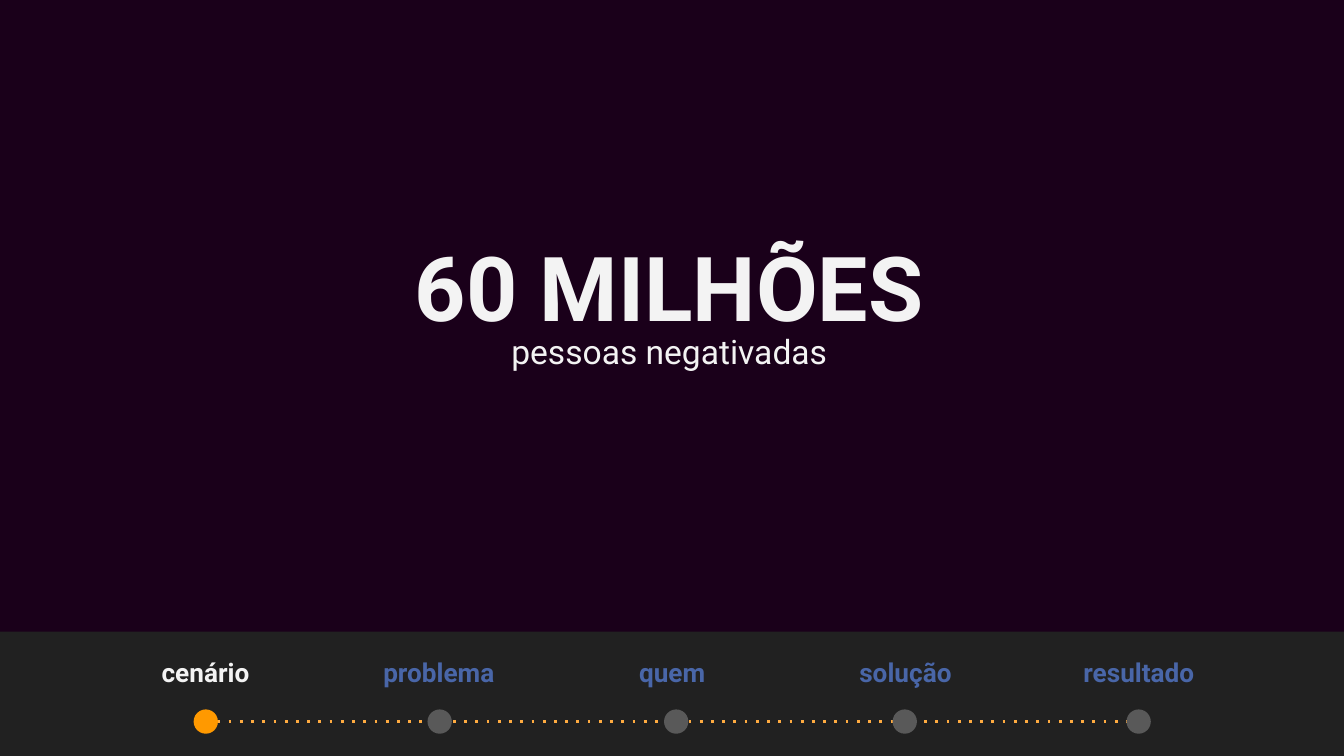
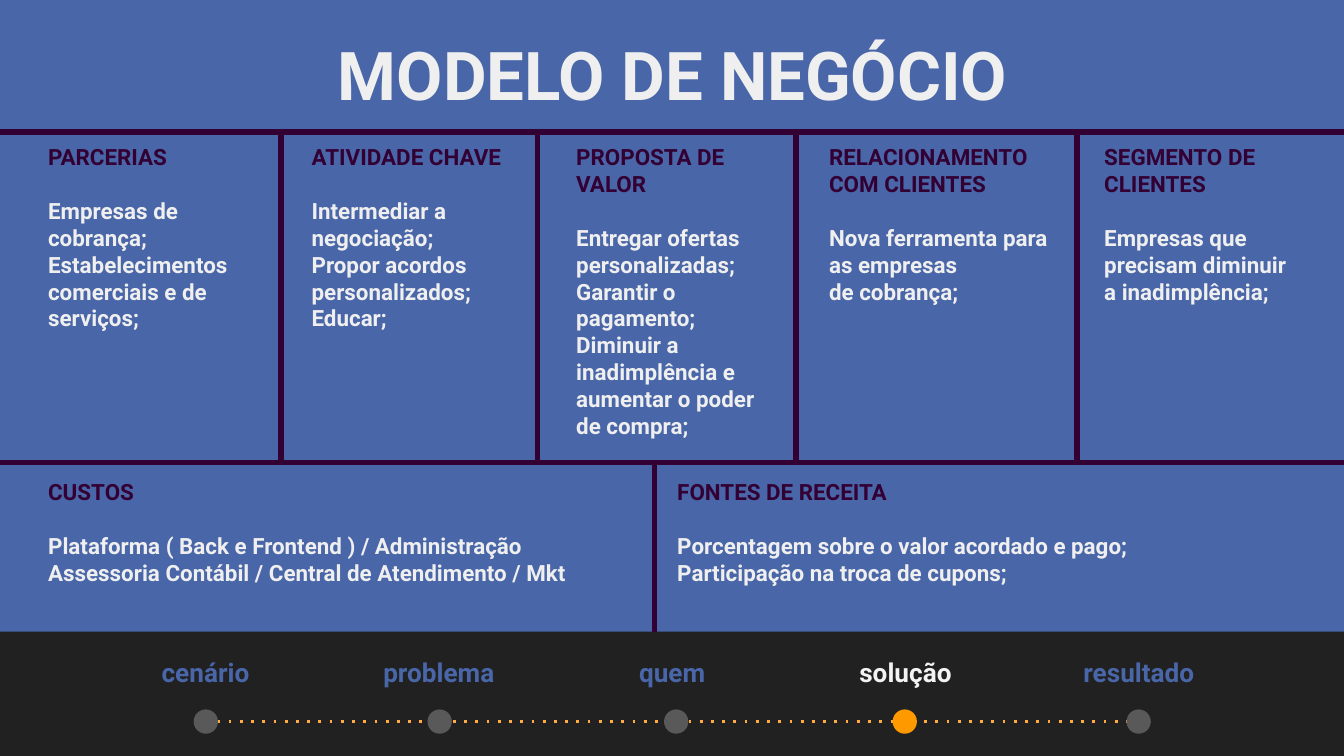
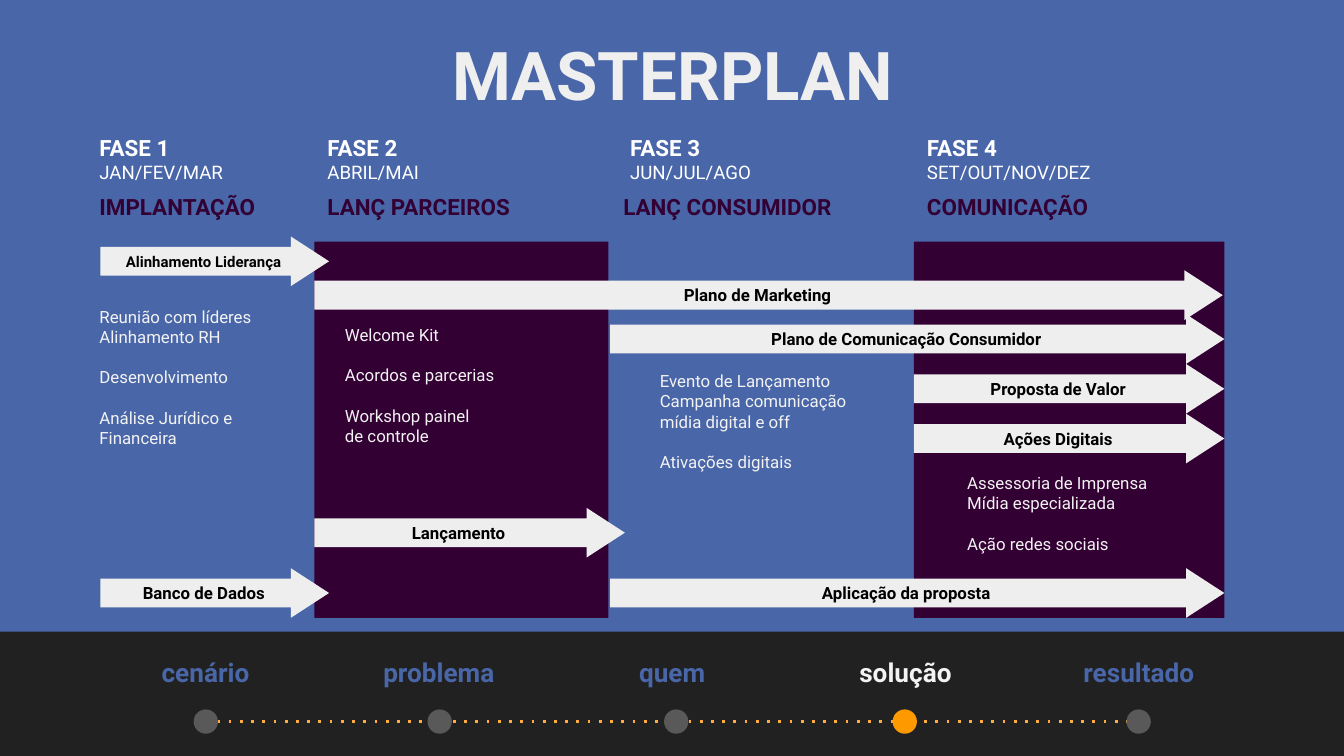
from lxml import etree
from pptx import Presentation
from pptx.dml.color import RGBColor
from pptx.enum import shapes, text
from pptx.oxml.ns import qn
from pptx.util import Cm, Pt


class Theme:
    font = "Roboto"
    night, blue, plum = "1A001A", "4966A8", "330033"
    bar, dot, active, track = "212121", "595959", "FF9900", "FFAB40"
    light, title, arrow = "F3F3F3", "EFEFEF", "EEEEEE"
    white, black = "FFFFFF", "000000"
    hero, heading, lead, step, body, date, note, tiny = 48, 36, 18, 14, 12, 10, 9, 8


def write(sp, groups, size, colour, bold=False, align="LEFT", anchor="TOP"):
    """Fill a shape with groups of paragraphs, one line of space between groups."""
    tf = sp.text_frame
    tf.word_wrap = True
    tf.auto_size = text.MSO_AUTO_SIZE.NONE
    tf.vertical_anchor = text.MSO_ANCHOR[anchor]
    tf.margin_left = tf.margin_right = tf.margin_top = tf.margin_bottom = Cm(0.25)
    tf.text = "\n".join(line for group in groups for line in group)
    starts = [sum(len(g) for g in groups[:i]) for i in range(1, len(groups))]
    for i, p in enumerate(tf.paragraphs):
        p.alignment = text.PP_ALIGN[align]
        if i in starts:
            p.space_before = Pt(size * 1.2)
        for r in p.runs:
            r.font.name = Theme.font
            r.font.size = Pt(size)
            r.font.bold = bold
            r.font.color.rgb = RGBColor.from_string(colour)


def paint(sp, colour, width=None):
    """Give a connector its line, or a shape its flat fill, without shadow."""
    if width:
        sp.line.color.rgb = RGBColor.from_string(colour)
        sp.line.width = Pt(width)
        etree.SubElement(sp.element.spPr, qn("a:effectLst"))
    else:
        sp.fill.solid()
        sp.fill.fore_color.rgb = RGBColor.from_string(colour)
        sp.line.fill.background()
        sp.shadow.inherit = False


prs = Presentation()
prs.slide_width, prs.slide_height = Cm(25.4), Cm(14.29)
STRAIGHT = shapes.MSO_CONNECTOR.STRAIGHT
SHAPE = shapes.MSO_SHAPE

# Background, title and progress footer of every slide
steps = ["cenário", "problema", "quem", "solução", "resultado"]
dot_lefts = [3.66, 8.08, 12.55, 16.87, 21.29]
bar_top = 11.94
pages = [
    ("60 MILHÕES", (6.81, 4.39, 11.68, 2.01), Theme.hero, Theme.light, "MIDDLE", Theme.night, "cenário"),
    ("MODELO DE NEGÓCIO", (3.1, 0.38, 19.23, 1.83), Theme.heading, Theme.title, "TOP", Theme.blue, "solução"),
    ("MASTERPLAN", (3.1, 0.38, 19.23, 2.11), Theme.heading, Theme.title, "TOP", Theme.blue, "solução"),
]
for title, box, size, colour, anchor, background, current in pages:
    s = prs.slides.add_slide(prs.slide_layouts[5])
    s.background.fill.solid()
    s.background.fill.fore_color.rgb = RGBColor.from_string(background)
    sp = s.shapes.title
    sp.left, sp.top, sp.width, sp.height = map(Cm, box)
    write(sp, [[title]], size, colour, True, "CENTER", anchor)

    bar = s.shapes.add_shape(SHAPE.RECTANGLE, 0, Cm(bar_top), prs.slide_width, Cm(2.35))
    paint(bar, Theme.bar)
    track = s.shapes.add_connector(STRAIGHT, Cm(4.11), Cm(13.64), Cm(21.29), Cm(13.64))
    paint(track, Theme.track, 1.5)
    etree.SubElement(track.element.spPr.find(qn("a:ln")), qn("a:prstDash"), val="dot")
    for i, (step, left) in enumerate(zip(steps, dot_lefts)):
        on = step == current
        label = s.shapes.add_textbox(Cm(2.03 + 4.41 * i), Cm(12.09), Cm(3.71), Cm(1.24))
        write(label, [[step]], Theme.step, Theme.light if on else Theme.blue, True, "CENTER", "MIDDLE")
        dot = s.shapes.add_shape(SHAPE.OVAL, Cm(left), Cm(13.41), Cm(0.46), Cm(0.46))
        paint(dot, Theme.active if on else Theme.dot)

scenario, canvas, plan = prs.slides

# Scenario
sp = scenario.shapes.add_textbox(Cm(6.81), Cm(5.64), Cm(11.68), Cm(2.01))
write(sp, [["pessoas negativadas"]], Theme.lead, Theme.light, False, "CENTER", "MIDDLE")

# Business model canvas: left, top, width, height, heading, lines
top_row, bottom_row = (2.46, 5.46), (8.79, 2.49)
cells = [
    (0.66, 4.11, top_row, "PARCERIAS",
     ["Empresas de cobrança;", "Estabelecimentos comerciais e de serviços;"]),
    (5.64, 4.11, top_row, "ATIVIDADE CHAVE",
     ["Intermediar a negociação;", "Propor acordos personalizados;", "Educar;"]),
    (10.64, 4.11, top_row, "PROPOSTA DE VALOR",
     ["Entregar ofertas personalizadas;", "Garantir o pagamento;",
      "Diminuir a inadimplência e aumentar o poder de compra;"]),
    (15.42, 4.83, top_row, "RELACIONAMENTO COM CLIENTES",
     ["Nova ferramenta para as empresas", "de cobrança;"]),
    (20.62, 4.11, top_row, "SEGMENTO DE CLIENTES",
     ["Empresas que precisam diminuir a inadimplência;"]),
    (0.66, 11.89, bottom_row, "CUSTOS",
     ["Plataforma ( Back e Frontend ) / Administração",
      "Assessoria Contábil / Central de Atendimento / Mkt"]),
    (12.55, 11.89, bottom_row, "FONTES DE RECEITA",
     ["Porcentagem sobre o valor acordado e pago;", "Participação na troca de cupons;"]),
]
for left, width, (top, height), heading, lines in cells:
    sp = canvas.shapes.add_textbox(Cm(left), Cm(top), Cm(width), Cm(height))
    write(sp, [[heading], lines], Theme.body, Theme.title, True)
    sp.text_frame.paragraphs[0].runs[0].font.color.rgb = RGBColor.from_string(Theme.plum)

upper, lower = 2.49, 8.74
rules = [(x, upper, x, lower) for x in (5.31, 10.16, 15.04, 20.35)]
rules += [(0, y, 25.4, y) for y in (upper, lower)]
rules.append((12.37, lower, 12.37, bar_top))
for ends in rules:
    paint(canvas.shapes.add_connector(STRAIGHT, *map(Cm, ends)), Theme.plum, 3)

# Master plan: panels, phase headings, notes and arrows
for left, width in [(5.94, 5.56), (17.27, 5.87)]:
    panel = plan.shapes.add_shape(SHAPE.RECTANGLE, Cm(left), Cm(4.57), Cm(width), Cm(7.11))
    paint(panel, Theme.plum)

phases = [
    (1.63, 1.63, "JAN/FEV/MAR", "IMPLANTAÇÃO"),
    (5.94, 5.94, "ABRIL/MAI", "LANÇ PARCEIROS"),
    (11.66, 11.53, "JUN/JUL/AGO", "LANÇ CONSUMIDOR"),
    (17.27, 17.27, "SET/OUT/NOV/DEZ", "COMUNICAÇÃO"),
]
for number, (left, goal_left, months, goal) in enumerate(phases, 1):
    for words, x, y, height, size, colour, bold in [
        (f"FASE {number}", left, 2.29, 0.94, Theme.body, Theme.white, True),
        (months, left, 2.79, 0.94, Theme.date, Theme.white, False),
        (goal, goal_left, 3.4, 1.17, Theme.body, Theme.plum, True),
    ]:
        sp = plan.shapes.add_textbox(Cm(x), Cm(y), Cm(7.82), Cm(height))
        write(sp, [[words]], size, colour, bold)

notes = [
    (1.63, 5.54, [["Reunião com líderes", "Alinhamento RH"], ["Desenvolvimento"],
                  ["Análise Jurídico e Financeira"]]),
    (6.27, 5.89, [["Welcome Kit"], ["Acordos e parcerias"], ["Workshop painel", "de controle"]]),
    (12.22, 6.76, [["Evento de Lançamento", "Campanha comunicação mídia digital e off"],
                   ["Ativações digitais"]]),
    (18.03, 8.69, [["Assessoria de Imprensa", "Mídia especializada"], ["Ação redes sociais"]]),
]
for left, top, groups in notes:
    sp = plan.shapes.add_textbox(Cm(left), Cm(top), Cm(4.32), Cm(5.5))
    write(sp, groups, Theme.note, Theme.light)

arrows = [
    ("Alinhamento Liderança", 1.9, 4.47, 4.32, Theme.tiny),
    ("Plano de Marketing", 5.94, 5.11, 17.17, Theme.note),
    ("Plano de Comunicação Consumidor", 11.53, 5.94, 11.61, Theme.note),
    ("Proposta de Valor", 17.27, 6.88, 5.87, Theme.note),
    ("Ações Digitais", 17.27, 7.82, 5.87, Theme.note),
    ("Banco de Dados", 1.9, 10.74, 4.32, Theme.note),
    ("Lançamento", 5.94, 9.6, 5.87, Theme.note),
    ("Aplicação da proposta", 11.53, 10.74, 11.61, Theme.note),
]
for words, left, top, width, size in arrows:
    sp = plan.shapes.add_shape(SHAPE.RIGHT_ARROW, Cm(left), Cm(top), Cm(width), Cm(0.94))
    sp.adjustments[0], sp.adjustments[1] = 0.58, 0.77
    paint(sp, Theme.arrow)
    write(sp, [[words]], size, Theme.black, True, "CENTER", "MIDDLE")

prs.save("out.pptx")
